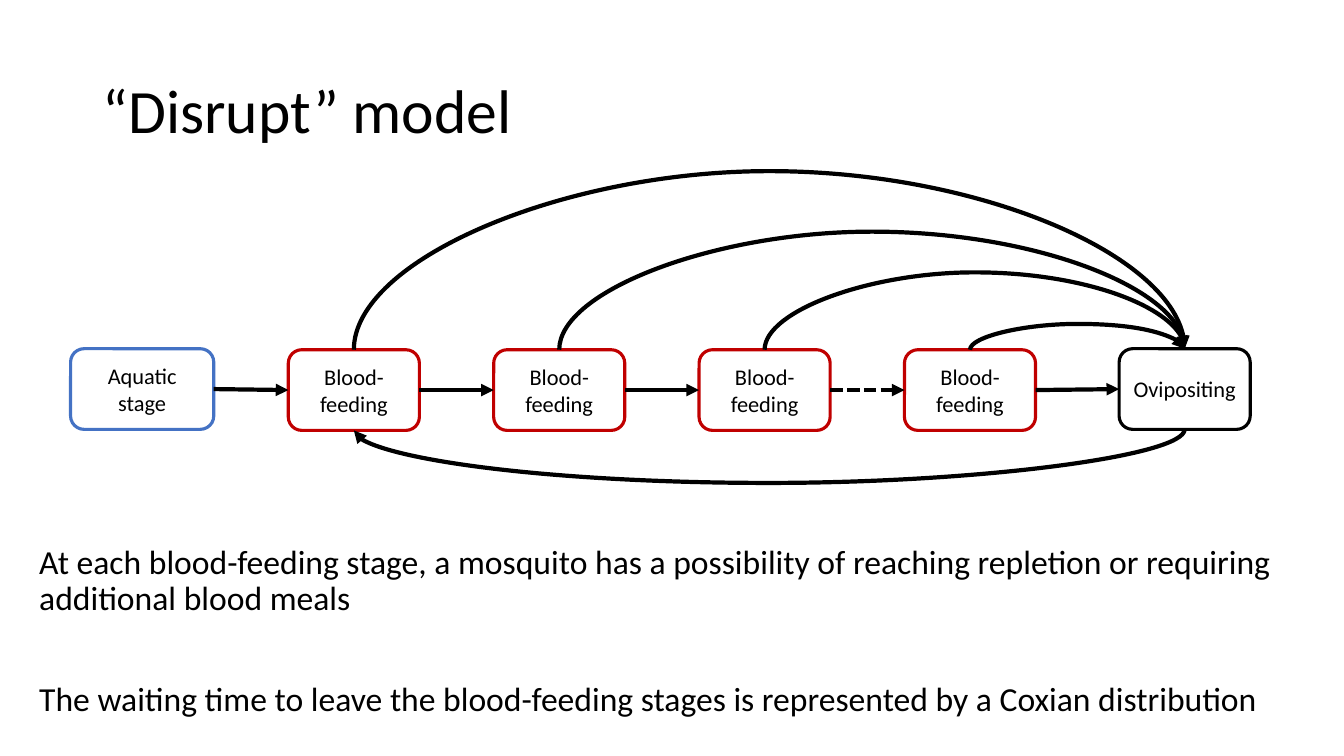
"""Build the "Disrupt" model slide of mosquito blood-feeding stages."""
import pptx
import pptx.dml.color
import pptx.enum.dml
import pptx.enum.shapes
import pptx.enum.text
import pptx.oxml.ns
import pptx.util
from lxml import etree

Inches = pptx.util.Inches
Pt = pptx.util.Pt
RGBColor = pptx.dml.color.RGBColor
MSO_CONNECTOR = pptx.enum.shapes.MSO_CONNECTOR
MSO_ANCHOR = pptx.enum.text.MSO_ANCHOR
qn = pptx.oxml.ns.qn

BLACK = RGBColor(0x00, 0x00, 0x00)
RED = RGBColor(0xC0, 0x00, 0x00)
BLUE = RGBColor(0x44, 0x72, 0xC4)
FONT = "Calibri"
TOP, LEFT, BOTTOM, RIGHT = range(4)
FEEDING_LEFT, FEEDING_STEP, FEEDING_TOP = 2.86, 2.037, 3.47
STAGE_WIDTH, STAGE_HEIGHT, END_TOP = 1.3, 0.8, 3.46
REPLETION_RISES = [1.8, 1.19, 0.78, 0.26]
RETURN_DROP = 0.53
CURVE_DEPTH = 0.01


def style_paragraph(paragraph, size):
    """Set the font of a paragraph."""
    paragraph.font.name = FONT
    paragraph.font.size = Pt(size)
    paragraph.font.color.rgb = BLACK


def add_text(slide, box, paragraphs, size, anchor):
    """Add a text box from (wording, points before) pairs."""
    frame = slide.shapes.add_textbox(*map(Inches, box)).text_frame
    frame.word_wrap = True
    frame.vertical_anchor = anchor
    for index, (wording, space_before) in enumerate(paragraphs):
        paragraph = frame.add_paragraph() if index else frame.paragraphs[0]
        paragraph.text = wording
        paragraph.line_spacing = 0.9
        paragraph.space_before = Pt(space_before)
        style_paragraph(paragraph, size)


def add_stage(slide, left, top, width, wording, color):
    """Add one rounded stage box."""
    stage = slide.shapes.add_shape(
        pptx.enum.shapes.MSO_SHAPE.ROUNDED_RECTANGLE,
        Inches(left), Inches(top), Inches(width), Inches(STAGE_HEIGHT))
    stage.shadow.inherit = False
    stage.fill.background()
    stage.line.color.rgb = color
    stage.line.width = Pt(2.25)
    frame = stage.text_frame
    frame.word_wrap = True
    frame.vertical_anchor = MSO_ANCHOR.MIDDLE
    paragraph = frame.paragraphs[0]
    paragraph.text = wording
    paragraph.alignment = pptx.enum.text.PP_ALIGN.CENTER
    style_paragraph(paragraph, 16)
    return stage


def join_stages(slide, kind, start, start_side, end, end_side,
                arrow_end="tailEnd", dash=None):
    """Join two stages with an arrow."""
    arrow = slide.shapes.add_connector(kind, 0, 0, 0, 0)
    arrow.begin_connect(start, start_side)
    arrow.end_connect(end, end_side)
    arrow.line.color.rgb = BLACK
    arrow.line.width = Pt(3)
    if dash is not None:
        arrow.line.dash_style = dash
    properties = arrow._element.spPr
    outline = properties.find(qn("a:ln"))
    etree.SubElement(outline, qn("a:" + arrow_end), type="triangle")
    etree.SubElement(properties, qn("a:effectLst"))
    return arrow


def add_arc(slide, start, end, side, rise, arrow_end="tailEnd"):
    """Add a curve between equal sides, rising (or dropping) by rise inches."""
    arc = join_stages(slide, MSO_CONNECTOR.CURVE, start, side, end, side, arrow_end)
    start_x = start.left + start.width // 2
    end_x = end.left + end.width // 2
    edge = end.top + (end.height if side == BOTTOM else 0)
    span = end_x - start_x
    depth = Inches(CURVE_DEPTH)
    arc.left = (start_x + end_x - depth) // 2
    arc.top = edge + (depth - span) // 2
    arc.width, arc.height = depth, span
    properties = arc._element.spPr
    transform = properties.find(qn("a:xfrm"))
    for name, value in (("rot", "5400000"), ("flipH", "1"), ("flipV", "1")):
        transform.set(name, value)
    geometry = properties.find(qn("a:prstGeom"))
    guides = geometry.find(qn("a:avLst"))
    if guides is None:
        guides = etree.SubElement(geometry, qn("a:avLst"))
    bend = round(rise / CURVE_DEPTH * 100000)
    etree.SubElement(guides, qn("a:gd"), name="adj1", fmla=f"val {bend}")


def main():
    """Build and save the slide."""
    deck = pptx.Presentation()
    deck.slide_width, deck.slide_height = Inches(13.33), Inches(7.5)
    slide = deck.slides.add_slide(deck.slide_layouts[6])

    add_text(slide, (0.92, 0.4, 11.5, 1.45), [("“Disrupt” model", 0)],
             44, MSO_ANCHOR.MIDDLE)
    aquatic = add_stage(slide, 0.7, END_TOP, 1.42, "Aquatic stage", BLUE)
    feedings = [
        add_stage(slide, FEEDING_LEFT + number * FEEDING_STEP, FEEDING_TOP,
                  STAGE_WIDTH, "Blood-feeding", RED)
        for number in range(len(REPLETION_RISES))]
    ovipositing = add_stage(slide, 11.1, END_TOP, STAGE_WIDTH, "Ovipositing", BLACK)

    stages = [aquatic, *feedings, ovipositing]
    for start, end in zip(stages, stages[1:]):
        skips_stages = end is feedings[-1]
        dash = pptx.enum.dml.MSO_LINE.SQUARE_DOT if skips_stages else None
        join_stages(slide, MSO_CONNECTOR.STRAIGHT, start, RIGHT, end, LEFT, dash=dash)
    for feeding, rise in zip(feedings, REPLETION_RISES):
        add_arc(slide, feeding, ovipositing, TOP, rise)
    add_arc(slide, feedings[0], ovipositing, BOTTOM, -RETURN_DROP, "headEnd")

    add_text(slide, (0.29, 5.36, 12.55, 1.93), [
        ("At each blood-feeding stage, a mosquito has a possibility of reaching "
         "repletion or requiring additional blood meals", 10),
        ("The waiting time to leave the blood-feeding stages is represented by "
         "a Coxian distribution", 46),
    ], 24, MSO_ANCHOR.TOP)
    deck.save("out.pptx")


if __name__ == "__main__":
    main()
